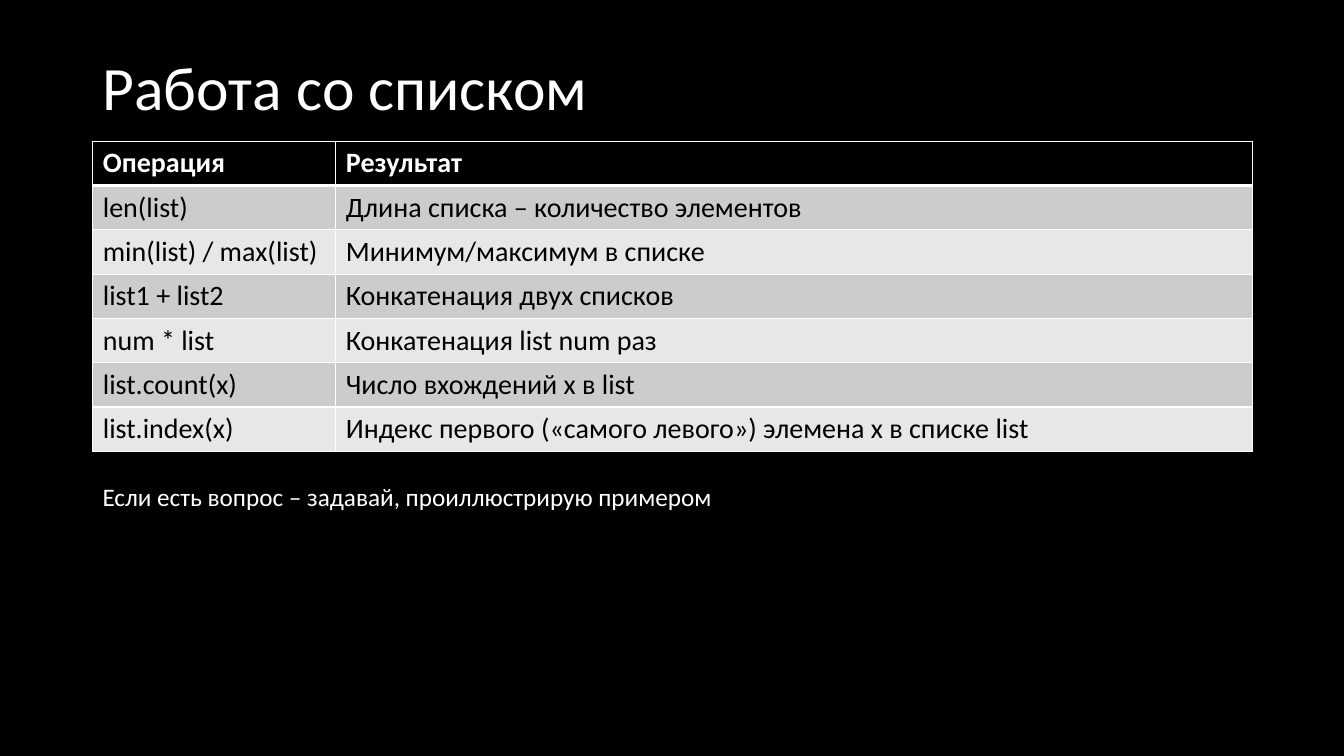
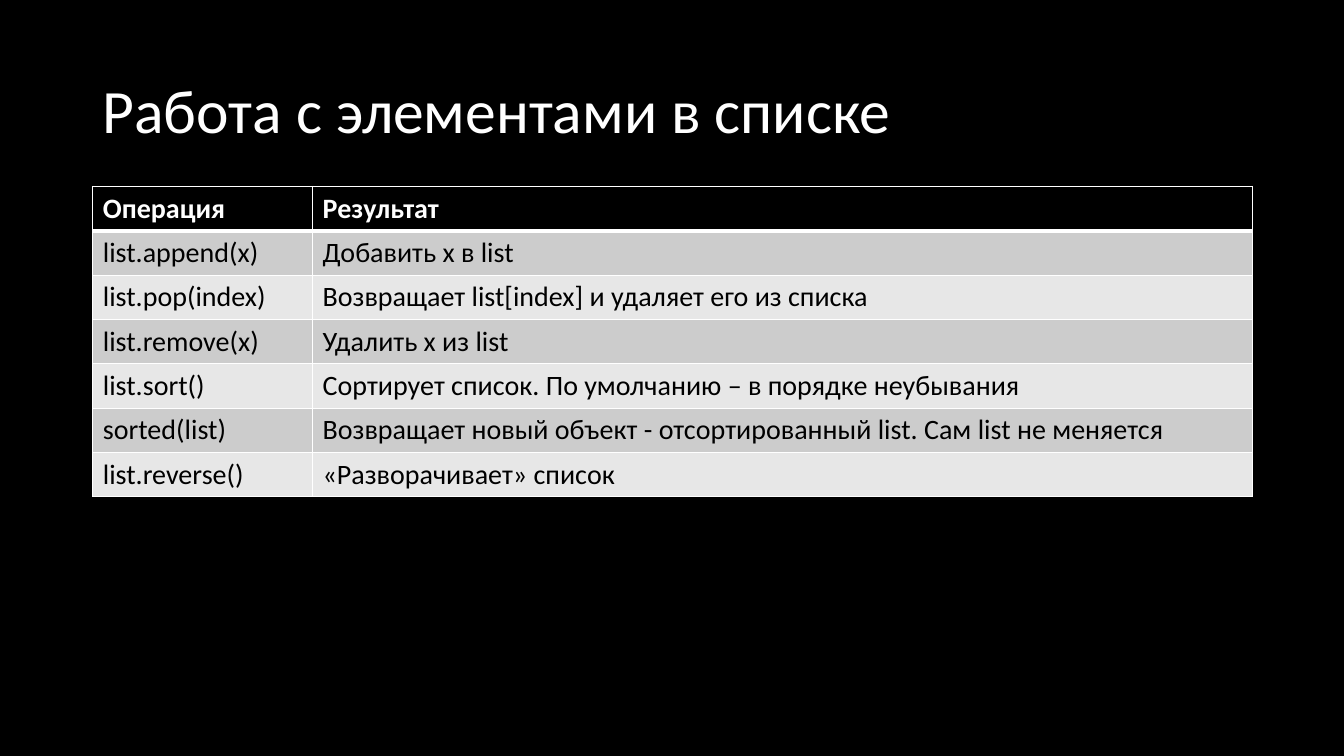
from dataclasses import dataclass

from lxml.etree import SubElement
from pptx import Presentation
from pptx.dml.color import RGBColor
from pptx.enum.text import MSO_ANCHOR
from pptx.oxml.ns import qn
from pptx.util import Inches, Pt


@dataclass(frozen=True)
class Theme:
    font: str = "Calibri"
    background: str = "000000"
    light: str = "FFFFFF"
    dark: str = "000000"
    bands: tuple = ("CCCCCC", "E7E7E7")
    title_size: int = 44
    table_size: int = 20
    note_size: int = 18
    thin_line: int = 1
    thick_line: int = 3


@dataclass(frozen=True)
class Box:
    left: float
    top: float
    width: float
    height: float

    def below(self, height, gap=0):
        """A box of the same width under this one."""
        return Box(self.left, self.top + self.height + gap, self.width, height)

    def lengths(self):
        return [Inches(value) for value in (self.left, self.top, self.width, self.height)]


THEME = Theme()
SLIDE_WIDTH, SLIDE_HEIGHT = 13.33, 7.5
MARGIN, TITLE_TOP = 0.92, 0.4
CONTENT_WIDTH = 11.5
ROW_HEIGHT = 0.44
NOTE_GAP, NOTE_HEIGHT = 0.25, 0.4

HEADER = ("Операция", "Результат")
LIST_OPERATIONS = [
    ("len(list)", "Длина списка – количество элементов"),
    ("min(list) / max(list)", "Минимум/максимум в списке"),
    ("list1 + list2", "Конкатенация двух списков"),
    ("num * list", "Конкатенация list num раз"),
    ("list.count(x)", "Число вхождений x в list"),
    ("list.index(x)", "Индекс первого («самого левого») элемена x в списке list"),
]
ELEMENT_OPERATIONS = [
    ("list.append(x)", "Добавить x в list"),
    ("list.pop(index)", "Возвращает list[index] и удаляет его из списка"),
    ("list.remove(x)", "Удалить x из list"),
    ("list.sort()", "Сортирует список. По умолчанию – в порядке неубывания"),
    ("sorted(list)", "Возвращает новый объект - отсортированный list. Сам list не меняется"),
    ("list.reverse()", "«Разворачивает» список"),
]


def add_run(paragraph, text, size, color, bold=False):
    run = paragraph.add_run()
    run.text = text
    run.font.name = THEME.font
    run.font.size = Pt(size)
    run.font.bold = bold
    run.font.color.rgb = RGBColor.from_string(color)


def add_text(slide, box, text, size, wrap=True):
    text_frame = slide.shapes.add_textbox(*box.lengths()).text_frame
    text_frame.word_wrap = wrap
    add_run(text_frame.paragraphs[0], text, size, THEME.light)
    return text_frame


def add_title(slide, box, text):
    text_frame = add_text(slide, box, text, THEME.title_size)
    text_frame.vertical_anchor = MSO_ANCHOR.MIDDLE
    text_frame.paragraphs[0].line_spacing = 0.9


def set_borders(cell, top, bottom):
    """Draw all four sides; top and bottom are widths in points."""
    properties = cell._tc.get_or_add_tcPr()
    sides = {"lnL": THEME.thin_line, "lnR": THEME.thin_line, "lnT": top, "lnB": bottom}
    for side, width in sides.items():
        line = SubElement(properties, qn(f"a:{side}"), w=str(Pt(width)))
        fill = SubElement(line, qn("a:solidFill"))
        SubElement(fill, qn("a:srgbClr"), val=THEME.light)


def add_operations_table(slide, box, first_column, operations):
    rows = [HEADER, *operations]
    table = slide.shapes.add_table(len(rows), len(HEADER), *box.lengths()).table
    for column, width in zip(table.columns, (first_column, box.width - first_column)):
        column.width = Inches(width)

    for row_index, texts in enumerate(rows):
        table.rows[row_index].height = Inches(box.height / len(rows))
        is_header = row_index == 0
        fill = THEME.background if is_header else THEME.bands[(row_index - 1) % 2]
        color = THEME.light if is_header else THEME.dark
        # The thick rule lies between the header and the first band
        top = THEME.thick_line if row_index == 1 else THEME.thin_line
        bottom = THEME.thick_line if is_header else THEME.thin_line
        for column_index, text in enumerate(texts):
            cell = table.cell(row_index, column_index)
            set_borders(cell, top, bottom)
            cell.fill.solid()
            cell.fill.fore_color.rgb = RGBColor.from_string(fill)
            add_run(cell.text_frame.paragraphs[0], text, THEME.table_size, color, is_header)


def add_operations_slide(presentation, title, title_height, first_column, operations, note=None):
    slide = presentation.slides.add_slide(presentation.slide_layouts[6])
    title_box = Box(MARGIN, TITLE_TOP, CONTENT_WIDTH, title_height)
    table_box = title_box.below(ROW_HEIGHT * (len(operations) + 1))
    add_title(slide, title_box, title)
    add_operations_table(slide, table_box, first_column, operations)
    if note:
        add_text(slide, table_box.below(NOTE_HEIGHT, NOTE_GAP), note, THEME.note_size)


def main():
    presentation = Presentation()
    presentation.slide_width = Inches(SLIDE_WIDTH)
    presentation.slide_height = Inches(SLIDE_HEIGHT)

    # Shared background
    background = presentation.slide_master.background.fill
    background.solid()
    background.fore_color.rgb = RGBColor.from_string(THEME.background)

    # Operations on a whole list
    add_operations_slide(
        presentation, "Работа со списком", 1, 2.41, LIST_OPERATIONS,
        note="Если есть вопрос – задавай, проиллюстрирую примером",
    )
    # Operations on list elements
    add_operations_slide(
        presentation, "Работа с элементами в списке", 1.45, 2.18, ELEMENT_OPERATIONS,
    )
    presentation.save("out.pptx")


if __name__ == "__main__":
    main()
